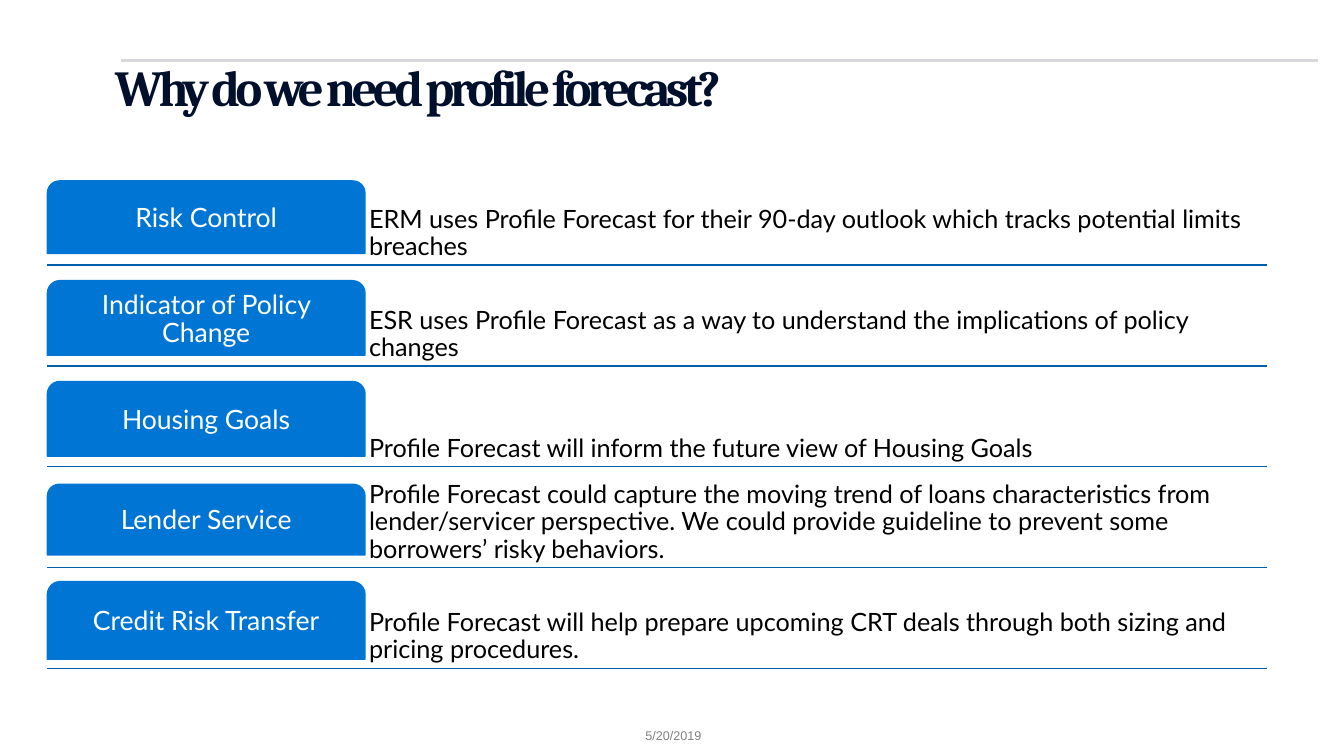
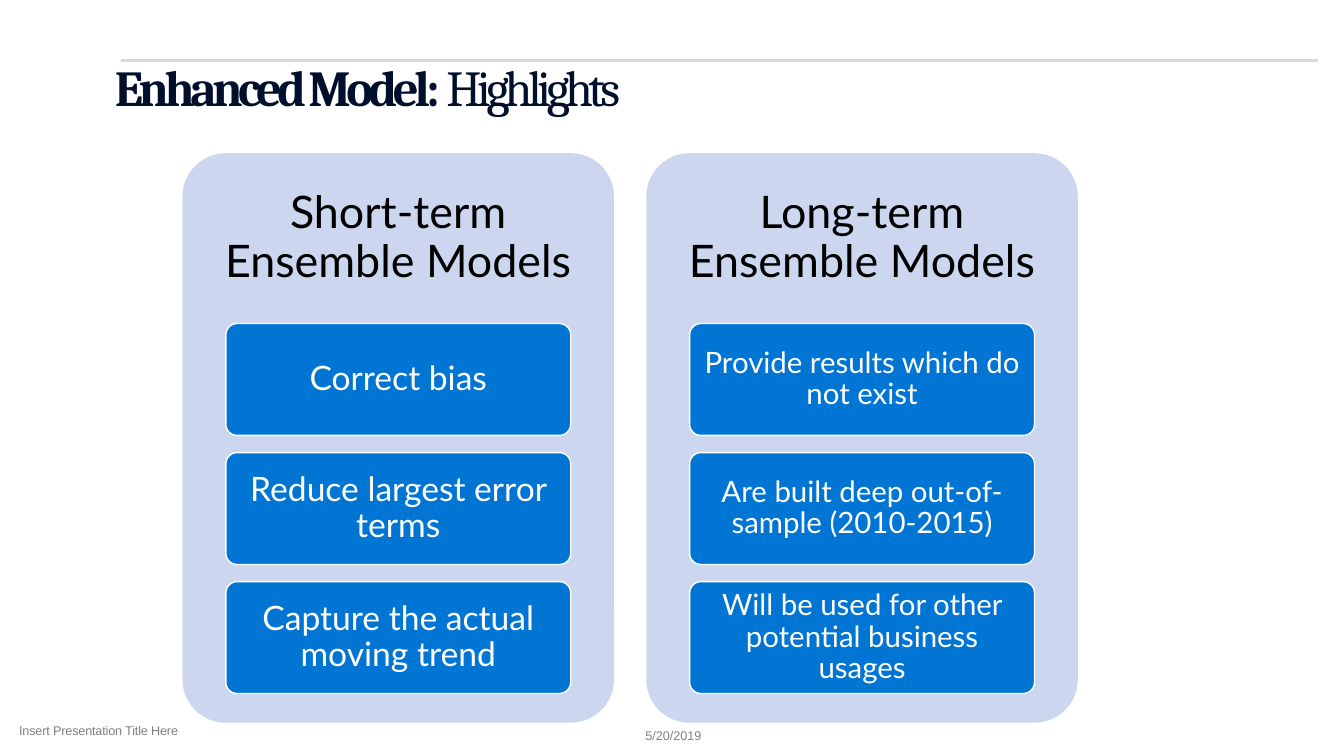
from lxml import etree
from pptx import Presentation
from pptx import util as u
from pptx.dml.color import RGBColor
from pptx.enum import shapes, text
from pptx.oxml.ns import qn

NAVY, BLUE, RULE_BLUE, PALE_BLUE = "000F2B", "0075D4", "005EAA", "CCD6EF"
BLACK, WHITE, GREY, LIGHT_GREY = "000000", "FFFFFF", "808080", "D9D7DC"
TITLE_FONT, BODY_FONT, FOOTER_FONT = "Cambria", "Lato", "Arial"
LEFT, CENTER = text.PP_ALIGN.LEFT, text.PP_ALIGN.CENTER
TOP, MIDDLE, BOTTOM = (text.MSO_ANCHOR.TOP, text.MSO_ANCHOR.MIDDLE,
                       text.MSO_ANCHOR.BOTTOM)

# Label, tab height, description
REASONS = [
    ("Risk Control", 0.72,
     "ERM uses Profile Forecast for their 90-day outlook which tracks "
     "potential limits breaches"),
    ("Indicator of Policy Change", 0.74,
     "ESR uses Profile Forecast as a way to understand the implications of "
     "policy changes"),
    ("Housing Goals", 0.74,
     "Profile Forecast will inform the future view of Housing Goals"),
    ("Lender Service", 0.7,
     "Profile Forecast could capture the moving trend of loans "
     "characteristics from lender/servicer perspective. We could provide "
     "guideline to prevent some borrowers’ risky behaviors."),
    ("Credit Risk Transfer", 0.77,
     "Profile Forecast will help prepare upcoming CRT deals through both "
     "sizing and pricing procedures."),
]

# Heading, card text size, card margins, cards
MODELS = [
    ("Short-term Ensemble Models", 24, (0.07, 0.05),
     ["Correct bias", "Reduce largest error terms",
      "Capture the actual moving trend"]),
    ("Long-term Ensemble Models", 21, (0.06, 0.04),
     ["Provide results which do not exist",
      "Are built deep out-of-sample (2010-2015)",
      "Will be used for other potential business usages"]),
]


def color(value):
    return RGBColor.from_string(value)


def inches(*lengths):
    return [u.Inches(length) for length in lengths]


def write(box, content, size, ink, font=BODY_FONT, align=CENTER, anchor=MIDDLE,
          margins=(0, 0), line_spacing=0.9, tracking=0):
    """Fill a box with one paragraph; content is a string or (string, bold) pairs."""
    frame = box.text_frame
    frame.word_wrap = True
    frame.vertical_anchor = anchor
    frame.margin_left = frame.margin_right = u.Inches(margins[0])
    frame.margin_top = frame.margin_bottom = u.Inches(margins[1])
    para = frame.paragraphs[0]
    para.alignment = align
    para.line_spacing = line_spacing
    para.font.size = u.Pt(size)
    para.font.name = font
    para.font.color.rgb = color(ink)
    spans = [(content, None)] if isinstance(content, str) else content
    for words, bold in spans:
        span = para.add_run()
        span.text = words
        span.font.bold = bold
        if tracking:
            span.font._element.set("spc", str(round(tracking * 100)))


def add_text(page, place, content, size, ink, **style):
    write(page.shapes.add_textbox(*inches(*place)), content, size, ink, **style)


def add_block(page, kind, place, corners, fill, outline=None):
    block = page.shapes.add_shape(kind, *inches(*place))
    block.shadow.inherit = False
    for index, corner in enumerate(corners):
        block.adjustments[index] = corner
    block.fill.solid()
    block.fill.fore_color.rgb = color(fill)
    if outline:
        block.line.color.rgb = color(outline)
        block.line.width = u.Pt(1)
    else:
        block.line.fill.background()
    return block


def add_rule(page, left, right, top, ink, width):
    rule = page.shapes.add_connector(shapes.MSO_CONNECTOR.STRAIGHT,
                                     *inches(left, top, right, top))
    rule.line.color.rgb = color(ink)
    rule.line.width = u.Pt(width)
    etree.SubElement(rule._element.spPr, qn("a:effectLst"))


def add_page(deck, title):
    """Add a blank page with the shared rule, date and title."""
    page = deck.slides.add_slide(deck.slide_layouts[6])
    add_rule(page, 1.2, 13.07, 0.6, LIGHT_GREY, 1.5)
    add_text(page, (6.18, 7.17, 1, 0.25), "5/20/2019", 9, GREY,
             font=FOOTER_FONT, anchor=TOP, margins=(0.1, 0.05), line_spacing=1)
    add_text(page, (1.14, 0.67, 11.9, 0.6), title, 36, NAVY, font=TITLE_FONT,
             align=LEFT, anchor=TOP, line_spacing=0.8, tracking=-3.2)
    return page


def add_reason(page, top, label, tab_height, description):
    left, right, tab_width, row_height = 0.47, 12.57, 3.15, 0.95
    tab_right = left + tab_width
    add_rule(page, left, right, top + row_height, RULE_BLUE, 1)
    add_text(page, (tab_right, top, right - tab_right, row_height),
             description, 18, BLACK, align=LEFT, anchor=BOTTOM,
             margins=(0.04, 0.04))
    tab_top = top + (row_height - tab_height) / 2
    tab = add_block(page, shapes.MSO_SHAPE.ROUND_2_SAME_RECTANGLE,
                    (left, tab_top, tab_width, tab_height), (0.167, 0),
                    BLUE, BLUE)
    write(tab, label, 19, WHITE, margins=(0.04, 0.04))


def add_model(page, left, heading, size, margins, cards):
    top, width, heading_height = 1.52, 4.28, 1.69
    rounded = shapes.MSO_SHAPE.ROUNDED_RECTANGLE
    add_block(page, rounded, (left, top, width, 5.65), (0.1,), PALE_BLUE)
    add_text(page, (left, top, width, heading_height), heading, 32, BLACK,
             margins=(0.13, 0.13))
    for index, words in enumerate(cards):
        card_top = top + heading_height + index * 1.28
        card = add_block(page, rounded, (left + 0.43, card_top, 3.42, 1.11),
                         (0.1,), BLUE, WHITE)
        write(card, words, size, WHITE, margins=margins)


def main():
    deck = Presentation()
    deck.slide_width, deck.slide_height = inches(13.33, 7.5)

    page = add_page(deck, [("Why do we need profile forecast?", True)])
    for index, reason in enumerate(REASONS):
        add_reason(page, 1.68 + index, *reason)

    page = add_page(deck, [("Enhanced Model: ", True), ("Highlights", False)])
    add_text(page, (0.17, 7.17, 4.5, 0.15), "Insert Presentation Title Here",
             9, GREY, font=FOOTER_FONT, align=LEFT, anchor=TOP,
             margins=(0.02, 0), line_spacing=1, tracking=-0.1)
    for index, model in enumerate(MODELS):
        add_model(page, 1.81 + index * 4.6, *model)

    deck.save("out.pptx")


if __name__ == "__main__":
    main()
